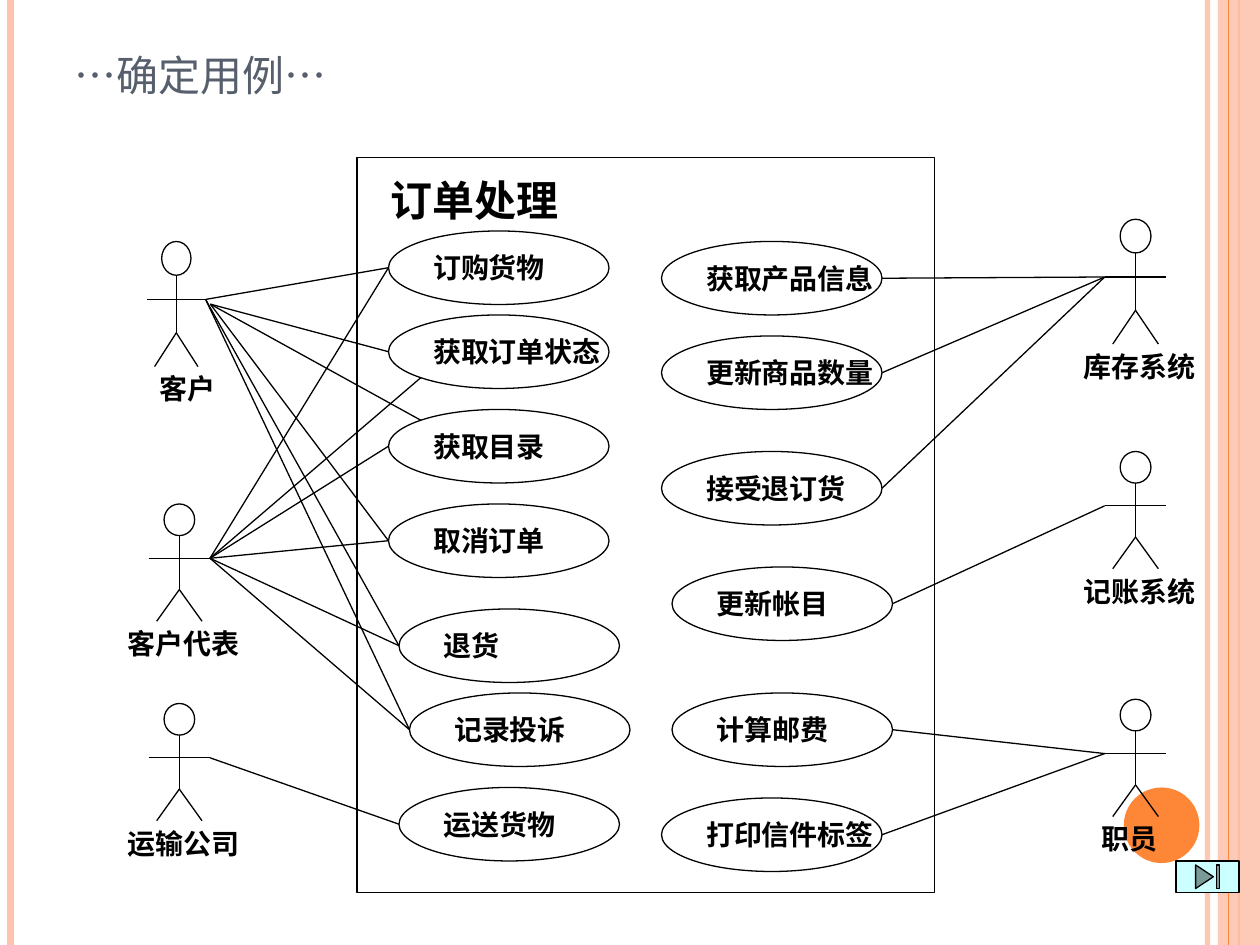
from lxml.etree import SubElement
from pptx import Presentation
from pptx.dml.color import RGBColor
from pptx.enum.lang import MSO_LANGUAGE_ID as Lang
from pptx.enum.shapes import MSO_CONNECTOR, MSO_SHAPE as Shape
from pptx.enum.text import MSO_ANCHOR as Anchor, MSO_AUTO_SIZE as AutoSize, PP_ALIGN as Align
from pptx.oxml.ns import qn
from pptx.util import Pt

BLACK = RGBColor(0x00, 0x00, 0x00)
SLATE = RGBColor(0x57, 0x5F, 0x6D)
PEACH = RGBColor(0xFE, 0xC3, 0xAE)
ORANGE = RGBColor(0xFE, 0x86, 0x37)
PALE_CYAN = RGBColor(0xCC, 0xFF, 0xFF)

SERIF = "Times New Roman"
SCHOOL = "TeX Gyre Schola"

SLIDE_W, SLIDE_H = 720, 540
CASE_W, CASE_H = 126, 42
CORNER = 0.5 ** 0.5 / 2  # half-axis share of an ellipse's diagonal point

# Use cases: text -> left, top within the system boundary
USE_CASES = {
    "订购货物": (18, 42), "获取订单状态": (18, 90), "获取目录": (18, 144),
    "取消订单": (18, 198), "退货": (24, 258), "记录投诉": (30, 306),
    "运送货物": (24, 360),
    "获取产品信息": (174, 48), "更新商品数量": (174, 102), "接受退订货": (174, 168),
    "更新帐目": (180, 234), "计算邮费": (180, 306), "打印信件标签": (174, 366),
}

# Actors: name -> figure box, label left, label width, label indent
ACTORS = {
    "客户": ((84, 138, 33.5, 71.5), 84, 50, 0),
    "客户代表": ((85, 288, 35, 67), 66, 84, 0),
    "运输公司": ((85, 402, 35, 67), 66, 84, 0),
    "库存系统": ((631.3, 125.3, 35.2, 71.3), 612, 84, 0),
    "记账系统": ((631.3, 258, 35.2, 67), 612, 84, 0),
    "职员": ((631.3, 399.6, 35.2, 67), 612, 84, 10.3),
}

# Links: actor, use case, point on the ellipse, shift of the start
LINKS = [
    ("客户", "订购货物", "left", 0),
    ("客户", "获取订单状态", "left", 2.7),
    ("客户", "获取目录", "top left", 2.7),
    ("客户", "取消订单", "left", 2.7),
    ("客户", "退货", "left", 0),
    ("客户", "记录投诉", "left", 0),
    ("客户代表", "订购货物", "left", 0),
    ("客户代表", "获取订单状态", "bottom left", 0),
    ("客户代表", "获取目录", "left", 0),
    ("客户代表", "取消订单", "left", 0),
    ("客户代表", "退货", "left", 0),
    ("客户代表", "记录投诉", "left", 0),
    ("运输公司", "运送货物", "left", 0),
    ("库存系统", "获取产品信息", "right", 0),
    ("库存系统", "更新商品数量", "right", 0),
    ("库存系统", "接受退订货", "right", 0),
    ("记账系统", "更新帐目", "right", 0),
    ("职员", "计算邮费", "right", 0),
    ("职员", "打印信件标签", "right", 0),
]


def add_text(paragraph, text, size=16, font=SERIF, color=BLACK, bold=True, small_caps=False):
    run = paragraph.add_run()
    run.text = text
    run.font.size = Pt(size)
    run.font.name = font
    run.font.bold = bold
    run.font.color.rgb = color
    run.font.language_id = Lang.SIMPLIFIED_CHINESE
    if small_caps:
        run.font._element.set("cap", "small")


def set_alpha(fill_format_parent, percent):
    color = next(fill_format_parent.iter(qn("a:srgbClr")))
    SubElement(color, qn("a:alpha"), val=str(percent * 1000))


def add_line(slide, start, end, color=BLACK, width=0.75, alpha=None):
    line = slide.shapes.add_connector(
        MSO_CONNECTOR.STRAIGHT, *(Pt(v) for v in (*start, *end)))
    line.line.color.rgb = color
    line.line.width = Pt(width)
    properties = line.element.spPr
    SubElement(properties, qn("a:effectLst"))
    if alpha:
        set_alpha(properties, alpha)


def add_figure(slide, kind, box, fill=None, outline=BLACK):
    figure = slide.shapes.add_shape(kind, *(Pt(v) for v in box))
    figure.shadow.inherit = False
    if fill is None:
        figure.fill.background()
    else:
        figure.fill.solid()
        figure.fill.fore_color.rgb = fill
    if outline is None:
        figure.line.fill.background()
    else:
        figure.line.color.rgb = outline
        figure.line.width = Pt(0.75)
    return figure


def add_label(slide, text, box, size=16, indent=0):
    label = slide.shapes.add_textbox(*(Pt(v) for v in box))
    frame = label.text_frame
    frame.word_wrap = True
    frame.auto_size = AutoSize.SHAPE_TO_FIT_TEXT
    frame.margin_left = Pt(7.2 + indent)
    add_text(frame.paragraphs[0], text, size=size)


def add_side_bands(slide, width, height):
    for x, color, weight, alpha in ((690, PEACH, 3, 93), (6, PEACH, 4.5, None),
                                    (708, ORANGE, 1.5, None)):
        add_line(slide, (x, 0), (x, height), color, weight, alpha)
    band = add_figure(slide, Shape.RECTANGLE, (width - 24, 0, 24, height), PEACH, None)
    set_alpha(band.element.spPr, 87)
    add_line(slide, (702, 0), (702, height), ORANGE)
    add_figure(slide, Shape.OVAL, (642.2, 450, 43.2, 43.2), ORANGE, None)


def fill_title(slide, box):
    title = slide.shapes.title
    title.left, title.top, title.width, title.height = (Pt(v) for v in box)
    frame = title.text_frame
    frame.auto_size = AutoSize.NONE
    frame.vertical_anchor = Anchor.BOTTOM
    paragraph = frame.paragraphs[0]
    paragraph.alignment = Align.LEFT
    for text, font in (("…", SERIF), ("确定用例", SCHOOL), ("…", SERIF)):
        add_text(paragraph, text, size=30, font=font, color=SLATE, bold=False, small_caps=True)


def add_system(slide, box):
    """Draw the boundary with its use cases; return each ellipse's centre."""
    left, top = box[:2]
    add_figure(slide, Shape.RECTANGLE, box)
    add_label(slide, "订单处理", (left + 12, top + 6, 144, 36), size=24)
    centres = {}
    for text, (dx, dy) in USE_CASES.items():
        x, y = left + dx, top + dy
        use_case = add_figure(slide, Shape.OVAL, (x, y, CASE_W, CASE_H))
        frame = use_case.text_frame
        frame.word_wrap = False
        frame.vertical_anchor = Anchor.MIDDLE
        frame.paragraphs[0].alignment = Align.LEFT
        add_text(frame.paragraphs[0], text)
        centres[text] = (x + CASE_W / 2, y + CASE_H / 2)
    return centres


def add_actor(slide, name, box, label_left, label_width, indent):
    """Draw a stick figure; return the hand that faces the system."""
    left, top, width, height = box

    def at(x, y):
        return left + x * width, top + y * height

    add_figure(slide, Shape.OVAL, (*at(0.25, 0), width / 2, height * 0.27))
    hip = at(0.5, 0.73)
    for start, end in ((at(0, 0.463), at(1, 0.463)), (at(0.5, 0.27), hip),
                       (hip, at(0.13, 1)), (hip, at(0.87, 1))):
        add_line(slide, start, end)
    add_label(slide, name, (label_left, top + height - 0.5, label_width, 26.6), indent=indent)
    return at(1 if left < SLIDE_W / 2 else 0, 0.463)


def add_links(slide, hands, centres):
    offsets = {"left": (-0.5, 0), "right": (0.5, 0),
               "top left": (-CORNER, -CORNER), "bottom left": (-CORNER, CORNER)}
    for actor, use_case, side, shift in LINKS:
        start = tuple(v + shift for v in hands[actor])
        (x, y), (dx, dy) = centres[use_case], offsets[side]
        add_line(slide, start, (x + dx * CASE_W, y + dy * CASE_H))


def main():
    deck = Presentation()
    deck.slide_width, deck.slide_height = Pt(SLIDE_W), Pt(SLIDE_H)
    slide = deck.slides.add_slide(deck.slide_layouts[5])
    add_side_bands(slide, SLIDE_W, SLIDE_H)
    fill_title(slide, (35.3, 5.8, 588, 56))
    centres = add_system(slide, (204, 90, 330, 420))
    hands = {name: add_actor(slide, name, *place) for name, place in ACTORS.items()}
    add_links(slide, hands, centres)
    # Button to the last slide
    add_figure(slide, Shape.ACTION_BUTTON_END, (672, 492, 36, 18), PALE_CYAN)
    deck.save("out.pptx")


if __name__ == "__main__":
    main()
